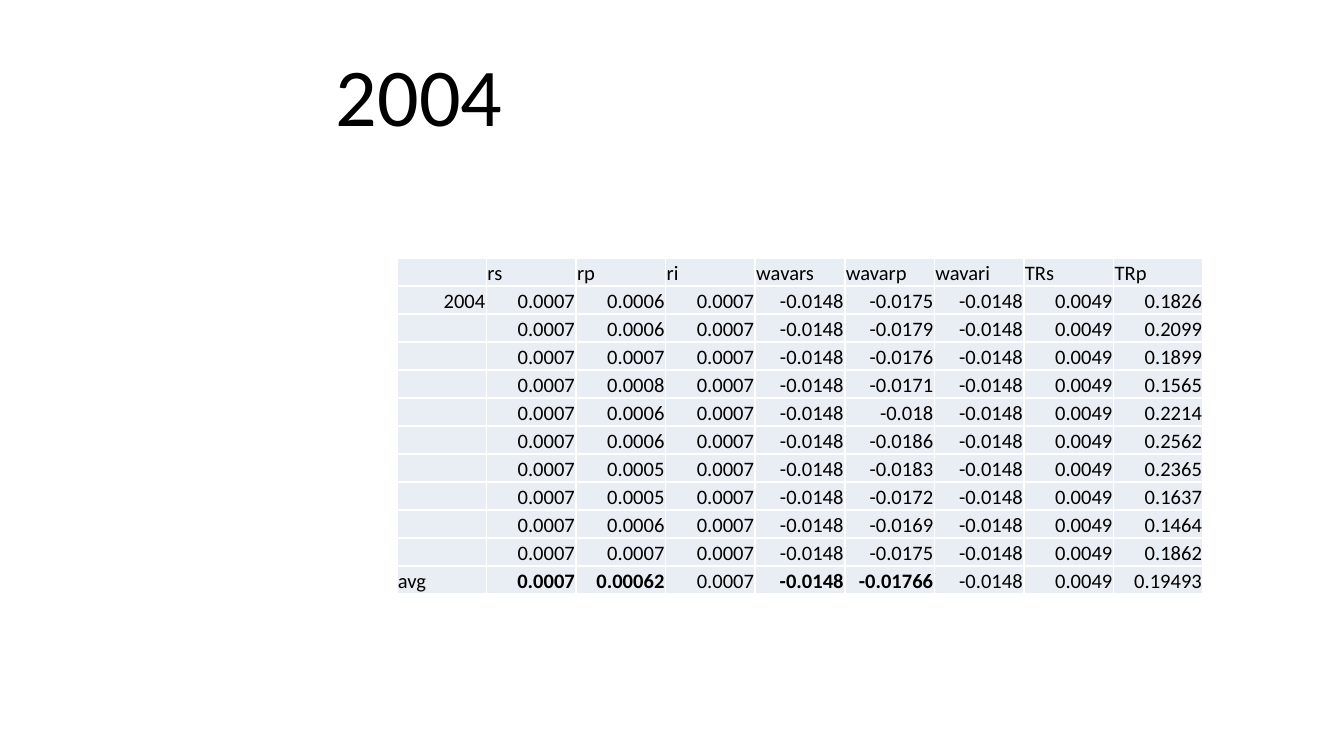
import lxml.etree
import pptx
import pptx.dml.color
import pptx.enum.text
import pptx.oxml.ns
import pptx.util
from pptx.util import Cm

BLACK = pptx.dml.color.RGBColor(0x00, 0x00, 0x00)
WHITE = pptx.dml.color.RGBColor(0xFF, 0xFF, 0xFF)
PALE_BLUE = pptx.dml.color.RGBColor(0xE9, 0xED, 0xF4)
LEFT = pptx.enum.text.PP_ALIGN.LEFT
RIGHT = pptx.enum.text.PP_ALIGN.RIGHT
ANCHOR = pptx.enum.text.MSO_ANCHOR
qn = pptx.oxml.ns.qn


def write(frame, text, size=11, bold=False, align=LEFT):
    para = frame.paragraphs[0]
    para.alignment = align
    if not text:
        # An empty cell still needs its text size, or it stretches the row
        lxml.etree.SubElement(para._p, qn("a:endParaRPr"), sz=str(size * 100))
        return
    span = para.add_run()
    span.text = text
    span.font.name = "Calibri"
    span.font.size = pptx.util.Pt(size)
    span.font.bold = bold
    span.font.color.rgb = BLACK


def add_borders(cell, color, width):
    properties = cell._tc.get_or_add_tcPr()
    for side in ("a:lnL", "a:lnR", "a:lnT", "a:lnB"):
        line = lxml.etree.SubElement(properties, qn(side), w=str(pptx.util.Pt(width)))
        fill = lxml.etree.SubElement(line, qn("a:solidFill"))
        lxml.etree.SubElement(fill, qn("a:srgbClr"), val=str(color))


deck = pptx.Presentation()
deck.slide_width, deck.slide_height = Cm(25.4), Cm(14.29)
page = deck.slides.add_slide(deck.slide_layouts[6])

# Title
title = page.shapes.add_textbox(Cm(6.1), Cm(0.58), Cm(18.03), Cm(2.39))
title.text_frame.word_wrap = True
title.text_frame.vertical_anchor = ANCHOR.MIDDLE
write(title.text_frame, "2004", size=44)

# Table data: only rp, wavarp and TRp change from row to row
header = ["", "rs", "rp", "ri", "wavars", "wavarp", "wavari", "TRs", "TRp"]
samples = [
    ("2004", "0.0006", "-0.0175", "0.1826"),
    ("", "0.0006", "-0.0179", "0.2099"),
    ("", "0.0007", "-0.0176", "0.1899"),
    ("", "0.0008", "-0.0171", "0.1565"),
    ("", "0.0006", "-0.018", "0.2214"),
    ("", "0.0006", "-0.0186", "0.2562"),
    ("", "0.0005", "-0.0183", "0.2365"),
    ("", "0.0005", "-0.0172", "0.1637"),
    ("", "0.0006", "-0.0169", "0.1464"),
    ("", "0.0007", "-0.0175", "0.1862"),
    ("avg", "0.00062", "-0.01766", "0.19493"),
]
rows = [header]
for label, rp, wavarp, trp in samples:
    rows.append([label, "0.0007", rp, "0.0007", "-0.0148", wavarp, "-0.0148", "0.0049", trp])
bold_averages = {"rs", "rp", "wavars", "wavarp"}

# Table
table = page.shapes.add_table(
    len(rows), len(header), Cm(7.5), Cm(4.88), Cm(15.24), Cm(6.35)
).table
table.first_row = False
table.horz_banding = False

for row_number, values in enumerate(rows):
    for column_number, text in enumerate(values):
        cell = table.cell(row_number, column_number)
        add_borders(cell, WHITE, 1)
        cell.fill.solid()
        cell.fill.fore_color.rgb = PALE_BLUE
        cell.vertical_anchor = ANCHOR.BOTTOM
        cell.margin_left = cell.margin_right = cell.margin_top = Cm(0.02)
        cell.margin_bottom = 0
        is_label = row_number == 0 or text == "avg"
        is_bold = values[0] == "avg" and header[column_number] in bold_averages
        write(cell.text_frame, text, bold=is_bold, align=LEFT if is_label else RIGHT)

deck.save("out.pptx")
